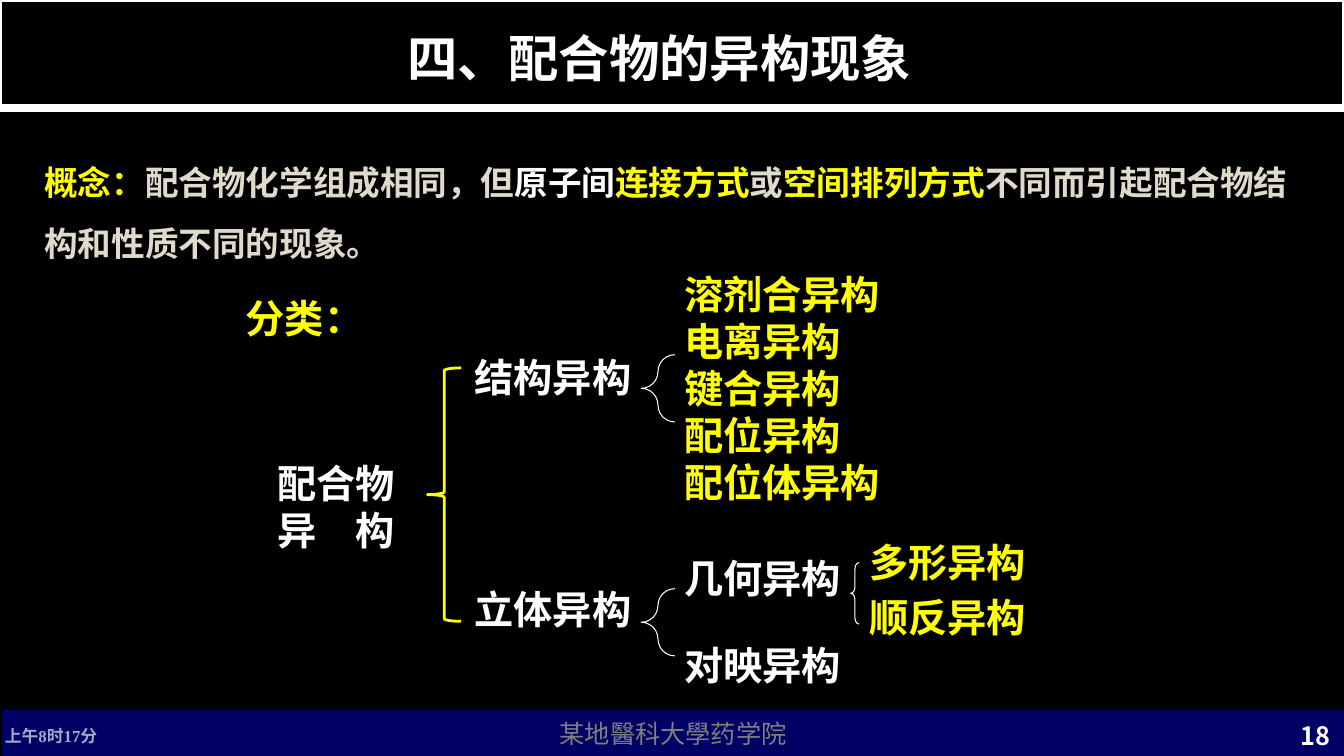
from lxml.etree import SubElement
from pptx import Presentation
from pptx.dml.color import RGBColor
from pptx.enum.lang import MSO_LANGUAGE_ID as Lang
from pptx.enum.shapes import MSO_CONNECTOR as Connector, MSO_SHAPE as Shape
from pptx.enum.text import MSO_ANCHOR as Anchor, PP_ALIGN as Align
from pptx.oxml.ns import qn
from pptx.util import Pt

SANS, SERIF = "Noto Sans CJK SC", "Times New Roman"
WHITE, YELLOW, CREAM, BLACK, BLUE = "FFFFFF", "FFFF00", "E0DACC", "000000", "0000CC"


def paint(fill, colour):
    fill.solid()
    fill.fore_color.rgb = RGBColor.from_string(colour)


def write(box, lines, size, font=SANS, bold=True, align=Align.LEFT,
          anchor=Anchor.TOP, leading=1.2, gap=0):
    """Fill a shape with lines, each a list of (text, colour) runs."""
    frame = box.text_frame
    frame.word_wrap = True
    frame.vertical_anchor = anchor
    for index, line in enumerate(lines):
        para = frame.add_paragraph() if index else frame.paragraphs[0]
        para.alignment = align
        para.line_spacing = Pt(size * leading)
        para.space_before = Pt(gap if index else 0)
        for text, colour in line:
            span = para.add_run()
            span.text = text
            span.font.size = Pt(size)
            span.font.bold = bold
            span.font.name = font
            span.font.language_id = Lang.SIMPLIFIED_CHINESE
            paint(span.font.fill, colour)
            SubElement(span.font._element, qn("a:ea")).set("typeface", SANS)


deck = Presentation()
deck.slide_width, deck.slide_height = Pt(960), Pt(540)
page = deck.slides.add_slide(deck.slide_layouts[6])
paint(page.background.fill, BLACK)
shapes = page.shapes

# Footer band, dimming veil and title band
bands = []
for left, top, width, height, colour in [
    (1.5, 507, 958.5, 33.5, BLUE),
    (0, 0, 960, 540, BLACK),
    (0, 0, 960, 77, BLACK),
]:
    band = shapes.add_shape(Shape.RECTANGLE, Pt(left), Pt(top), Pt(width), Pt(height))
    band.shadow.inherit = False
    paint(band.fill, colour)
    band.line.fill.background()
    bands.append(band)
footer, veil, title_band = bands
write(footer, [[("某地醫科大學药学院", WHITE)]], 18, bold=False,
      align=Align.CENTER, anchor=Anchor.MIDDLE)
paint(title_band.line.fill, WHITE)
title_band.line.width = Pt(3)

rule = shapes.add_connector(Connector.STRAIGHT, Pt(-3.6), Pt(77), Pt(960), Pt(77))
paint(rule.line.fill, WHITE)
rule.line.width = Pt(6)
SubElement(rule._element.spPr, qn("a:effectLst"))

# Date, page number, title and definition
date = shapes.add_textbox(Pt(-3.6), Pt(515.5), Pt(154), Pt(19.5))
write(date, [[("上午8时17分", WHITE)]], 12, SERIF, anchor=Anchor.MIDDLE)

number = shapes.add_textbox(Pt(865.5), Pt(515.5), Pt(92), Pt(19.5))
write(number, [[("18", WHITE)]], 18, align=Align.RIGHT, anchor=Anchor.MIDDLE)

title = shapes.add_textbox(Pt(168.5), Pt(9.4), Pt(605), Pt(57))
write(title, [[("四、配合物的异构现象", WHITE)]], 36,
      align=Align.CENTER, anchor=Anchor.BOTTOM)

definition = shapes.add_textbox(Pt(24.5), Pt(98), Pt(907), Pt(94))
write(definition, [[
    ("概念：", YELLOW),
    ("配合物化学组成相同，但", CREAM),
    ("原子间", WHITE),
    ("连接方式", YELLOW),
    ("或", CREAM),
    ("空间排列方式", YELLOW),
    ("不同而引起配合物结构和性质不同的现象。", CREAM),
]], 24, leading=1.8)

# Classification tree
for left, top, width, height, lines, colour, font, align, gap in [
    (168.5, 206.6, 100, 41, ["分类："], YELLOW, SERIF, Align.LEFT, 0),
    (332, 249, 186, 41, ["结构异构"], WHITE, SERIF, Align.LEFT, 0),
    (183, 324.7, 114, 75, ["配合物", "异　构"], WHITE, SERIF, Align.CENTER, 0),
    (481.7, 189.4, 162, 177, ["溶剂合异构", "电离异构", "键合异构", "配位异构", "配位体异构"],
     YELLOW, SANS, Align.LEFT, 0),
    (332, 414.7, 162, 41, ["立体异构"], WHITE, SERIF, Align.LEFT, 0),
    (481.7, 454.3, 174, 41, ["对映异构"], WHITE, SERIF, Align.LEFT, 0),
    (481.7, 392.4, 132, 41, ["几何异构"], WHITE, SERIF, Align.LEFT, 0),
    (614, 381, 128, 82, ["多形异构", "顺反异构"], YELLOW, SANS, Align.LEFT, 5.6),
]:
    box = shapes.add_textbox(Pt(left), Pt(top), Pt(width), Pt(height))
    write(box, [[(text, colour)] for text in lines], 28, font, align=align, gap=gap)

for left, top, width, height, curve, colour, weight in [
    (458, 420.5, 24, 48, 0.56, WHITE, 0.75),
    (607.7, 401.8, 6, 44, 0.75, WHITE, 0.75),
    (458, 253.4, 24, 48, 0.92, WHITE, 0.75),
    (305.3, 262.8, 24, 181, 0.08, YELLOW, 2),
]:
    brace = shapes.add_shape(Shape.LEFT_BRACE, Pt(left), Pt(top), Pt(width), Pt(height))
    brace.shadow.inherit = False
    brace.adjustments[0] = curve
    brace.fill.background()
    paint(brace.line.fill, colour)
    brace.line.width = Pt(weight)

# Opacity in percent
for shape, opacity in [(veil, 50), (date, 65)]:
    tint = next(shape._element.iter(qn("a:srgbClr")))
    SubElement(tint, qn("a:alpha")).set("val", str(opacity * 1000))

deck.save("out.pptx")
